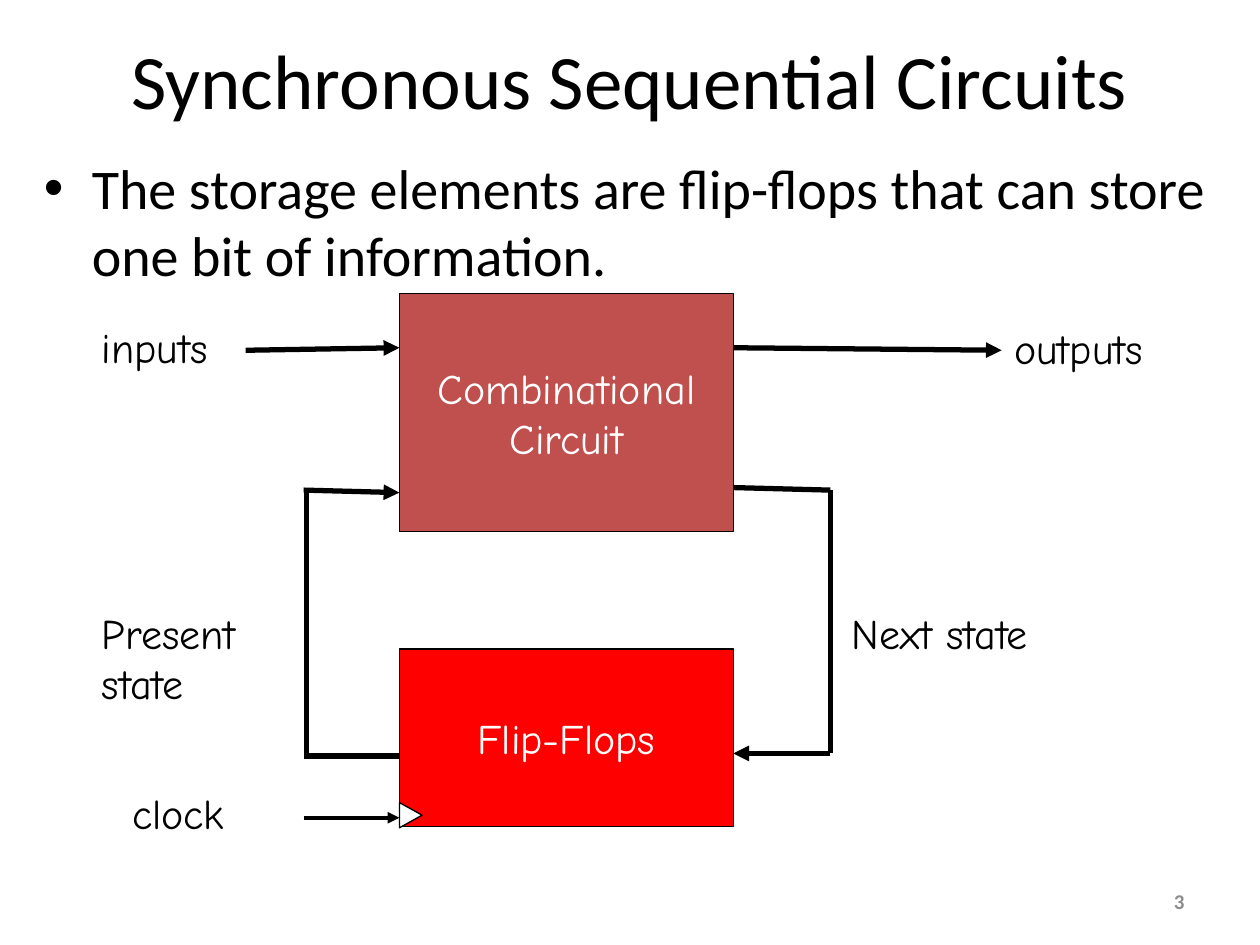
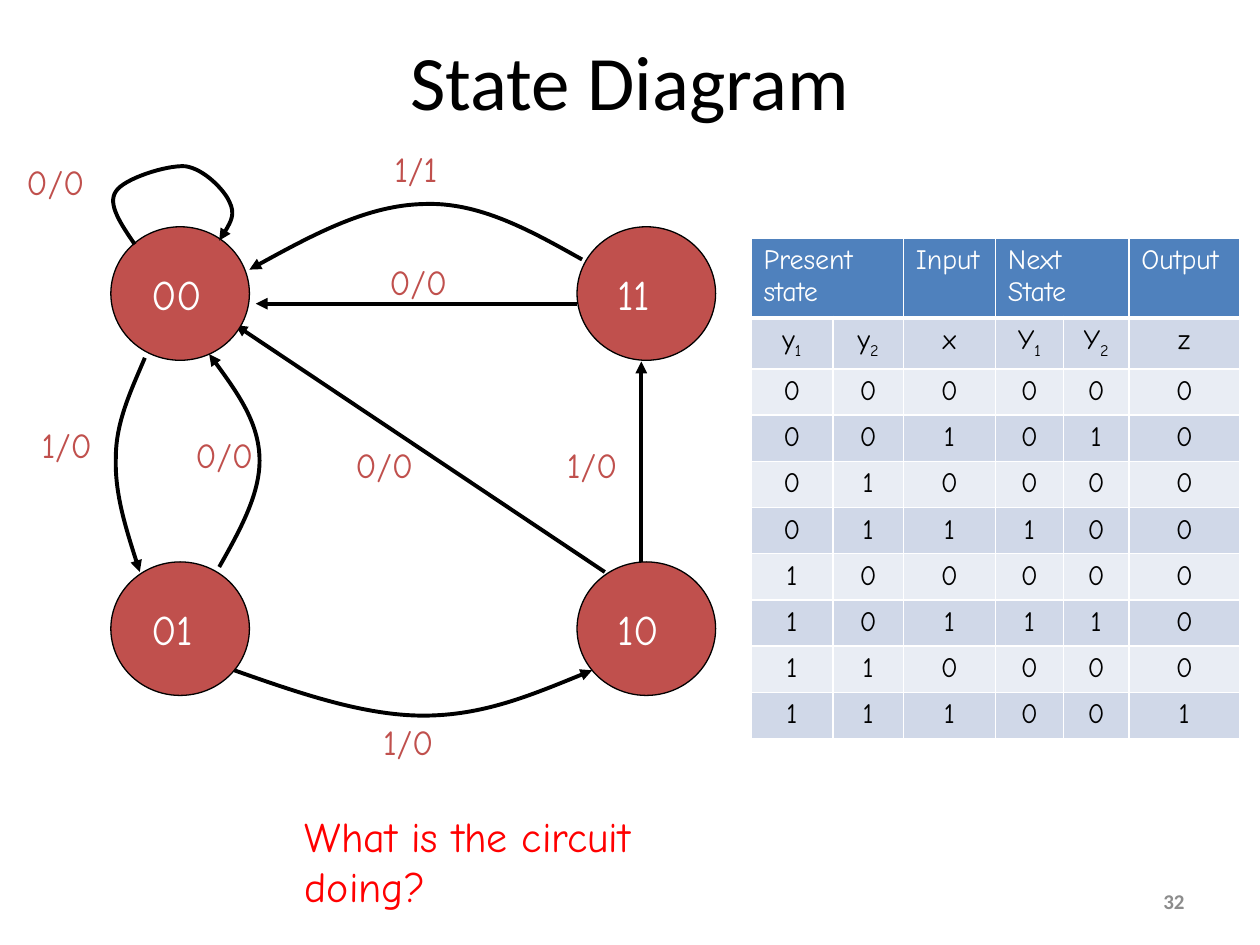
import pptx
import pptx.util
import pptx.dml.color
import pptx.enum.shapes
import pptx.enum.text
import pptx.oxml
import pptx.oxml.ns
import lxml.etree

Inches = pptx.util.Inches
Pt = pptx.util.Pt
RGB = pptx.dml.color.RGBColor.from_string
MSO_SHAPE = pptx.enum.shapes.MSO_SHAPE
STRAIGHT = pptx.enum.shapes.MSO_CONNECTOR.STRAIGHT
ALIGN = pptx.enum.text.PP_ALIGN
ANCHOR = pptx.enum.text.MSO_ANCHOR
AUTO_SIZE = pptx.enum.text.MSO_AUTO_SIZE
qn = pptx.oxml.ns.qn

COLORS = {
    "black": "000000", "white": "FFFFFF", "gray": "8C8C8C", "red": "FF0000",
    "brick": "C0504D", "header": "4F81BD", "band_dark": "D0D8E8", "band_light": "E9EDF4",
}
HEADING_FONT = "Calibri"
DIAGRAM_FONT = "Comic Neue"


def write(frame, text, size=24, font=DIAGRAM_FONT, color="black", align=ALIGN.LEFT,
          anchor=ANCHOR.TOP, wrap=True, grow=False, margin=None, bold=False, bullet=None):
    """Fill a text frame; an underscore starts a subscript, a newline breaks the line."""
    frame.word_wrap = wrap
    frame.vertical_anchor = anchor
    if grow:
        frame.auto_size = AUTO_SIZE.SHAPE_TO_FIT_TEXT
    if margin is not None:
        frame.margin_left = frame.margin_right = Inches(margin)
        frame.margin_top = frame.margin_bottom = Inches(margin)
    paragraph = frame.paragraphs[0]
    paragraph.alignment = align
    if bullet:
        properties = paragraph._p.get_or_add_pPr()
        properties.set("marL", str(Inches(0.38)))
        properties.set("indent", str(-Inches(0.38)))
        lxml.etree.SubElement(properties, qn("a:buFont")).set("typeface", "Arial")
        lxml.etree.SubElement(properties, qn("a:buChar")).set("char", bullet)
    base, _, subscript = text.partition("_")
    paragraph.text = base
    if subscript:
        run = paragraph.add_run()
        run.text = subscript
        run._r.get_or_add_rPr().set("baseline", "-25000")
    for run in paragraph.runs:
        run.font.name, run.font.size, run.font.bold = font, Pt(size), bold
        run.font.color.rgb = RGB(COLORS[color])


def outline(shape, width=0.75, fill=None, arrow=False):
    """Give a shape or line a plain black outline without a shadow."""
    if fill:
        shape.fill.solid()
        shape.fill.fore_color.rgb = RGB(COLORS[fill])
    shape.line.color.rgb = RGB(COLORS["black"])
    shape.line.width = Pt(width)
    if arrow:
        line = shape.line._get_or_add_ln()
        lxml.etree.SubElement(line, qn("a:tailEnd")).set("type", "triangle")
    lxml.etree.SubElement(shape._element.spPr, qn("a:effectLst"))


presentation = pptx.Presentation()
presentation.slide_width, presentation.slide_height = Inches(10), Inches(7.5)

# Titles and slide numbers
slides = []
for title, number, top in (("Synchronous Sequential Circuits", "3", 0),
                           ("State Diagram", "32", 0.01)):
    slide = presentation.slides.add_slide(presentation.slide_layouts[6])
    title_box = slide.shapes.add_textbox(Inches(0.5), Inches(top), Inches(9), Inches(1.25))
    write(title_box.text_frame, title, size=44, font=HEADING_FONT,
          align=ALIGN.CENTER, anchor=ANCHOR.MIDDLE)
    number_box = slide.shapes.add_textbox(Inches(7.17), Inches(6.95), Inches(2.33), Inches(0.4))
    write(number_box.text_frame, number, size=12, font=HEADING_FONT, color="gray",
          align=ALIGN.RIGHT, anchor=ANCHOR.MIDDLE, bold=True)
    slides.append(slide)
circuit_slide, state_slide = slides

# Circuit: bullet text
body = circuit_slide.shapes.add_textbox(Inches(0.25), Inches(1.17), Inches(9.58), Inches(1.56))
write(body.text_frame, "The storage elements are flip-flops that can store one bit of information.",
      size=32, font=HEADING_FONT, bullet="•")

# Circuit: the two blocks
block_left, block_width = 3.17, 2.65
block_right = block_left + block_width
for text, top, height, fill, wrap in (("Combinational Circuit", 2.33, 1.89, "brick", True),
                                      ("Flip-Flops", 5.15, 1.41, "red", False)):
    block = circuit_slide.shapes.add_shape(MSO_SHAPE.RECTANGLE, Inches(block_left), Inches(top),
                                           Inches(block_width), Inches(height))
    outline(block, fill=fill)
    write(block.text_frame, text, color="white", align=ALIGN.CENTER, anchor=ANCHOR.MIDDLE,
          wrap=wrap)

# Circuit: clock input mark
clock_mark = circuit_slide.shapes.add_shape(MSO_SHAPE.ISOSCELES_TRIANGLE, Inches(3.16),
                                            Inches(6.38), Inches(0.2), Inches(0.18))
clock_mark.rotation = 90
outline(clock_mark, fill="white")

# Circuit and states: straight wires (x1, y1, x2, y2, width, arrow)
next_x, present_x = 6.59, 2.43
circuit_wires = [
    (1.95, 2.78, block_left, 2.76, 3, True),
    (block_right, 2.76, 7.95, 2.78, 3, True),
    (block_right, 3.87, next_x, 3.89, 3, False),
    (next_x, 3.89, next_x, 5.98, 3, False),
    (next_x, 5.98, block_right, 5.98, 3, True),
    (2.41, 3.89, block_left, 3.91, 3, True),
    (present_x, 3.91, present_x, 6, 3, False),
    (block_left, 6, 2.41, 6, 3, False),
    (2.41, 6.49, block_left, 6.49, 2.25, True),
]
state_wires = [
    (4.8, 4.54, 1.87, 2.58, 2.25, True),
    (5.09, 4.46, 5.09, 2.87, 2.25, True),
    (4.58, 2.41, 2.03, 2.41, 2.25, True),
]
for slide, wires in ((circuit_slide, circuit_wires), (state_slide, state_wires)):
    for x1, y1, x2, y2, width, arrow in wires:
        wire = slide.shapes.add_connector(STRAIGHT, Inches(x1), Inches(y1), Inches(x2), Inches(y2))
        outline(wire, width=width, arrow=arrow)

# Circuit: signal names
for text, left, top, width, height, wrap in (
    ("inputs", 0.71, 2.5, 1.15, 0.51, False),
    ("outputs", 7.95, 2.51, 1.39, 0.51, False),
    ("Present state", 0.71, 4.77, 1.7, 0.91, True),
    ("Next state", 6.66, 4.77, 1.95, 0.51, False),
    ("clock", 0.95, 6.2, 1, 0.51, False),
):
    label = circuit_slide.shapes.add_textbox(Inches(left), Inches(top), Inches(width),
                                             Inches(height))
    write(label.text_frame, text, wrap=wrap, grow=True)

# States: circles with their codes
for code, left, top, code_width in (("00", 0.88, 1.8, 0.61), ("01", 0.88, 4.46, 0.55),
                                    ("10", 4.58, 4.46, 0.55), ("11", 4.58, 1.8, 0.5)):
    circle = state_slide.shapes.add_shape(MSO_SHAPE.OVAL, Inches(left), Inches(top),
                                          Inches(1.1), Inches(1.06))
    outline(circle, fill="brick")
    code_box = state_slide.shapes.add_textbox(Inches(left + 0.22), Inches(top + 0.28),
                                              Inches(code_width), Inches(0.5))
    write(code_box.text_frame, code, color="white", wrap=False, grow=True)

# States: curved transitions, each a chain of cubic curves sharing end points
for start, *controls in (
    [(1.07, 1.94), (0.96, 1.78), (0.85, 1.62), (0.92, 1.52), (0.98, 1.42), (1.32, 1.31),
     (1.47, 1.32), (1.62, 1.34), (1.78, 1.51), (1.82, 1.6), (1.87, 1.7), (1.81, 1.81), (1.74, 1.91)],
    [(1.15, 2.84), (1.04, 3.1), (0.92, 3.35), (0.92, 3.63), (0.91, 3.91), (1.01, 4.23), (1.11, 4.54)],
    [(1.74, 4.5), (1.91, 4.2), (2.07, 3.91), (2.06, 3.63), (2.05, 3.35), (1.86, 3.08), (1.66, 2.81)],
    [(1.86, 5.32), (2.37, 5.5), (2.89, 5.68), (3.36, 5.68), (3.83, 5.68), (4.26, 5.5), (4.7, 5.32)],
    [(4.62, 2.06), (4.21, 1.83), (3.8, 1.6), (3.36, 1.62), (2.92, 1.63), (2.45, 1.88), (1.98, 2.14)],
):
    builder = state_slide.shapes.build_freeform(Inches(start[0]), Inches(start[1]))
    builder.add_line_segments([(Inches(x), Inches(y)) for x, y in controls], close=False)
    transition = builder.convert_to_shape()
    # Every three straight segments become one cubic curve
    segments = list(transition._element.iter(qn("a:lnTo")))
    for first in range(0, len(segments), 3):
        cubic = lxml.etree.SubElement(segments[first].getparent(), qn("a:cubicBezTo"))
        for segment in segments[first:first + 3]:
            cubic.append(segment[0])
            segment.getparent().remove(segment)
    transition.fill.background()
    outline(transition, width=2.25, arrow=True)

# States: input/output labels
for text, left, top, width in (
    ("0/0", 0.21, 1.27, 0.48), ("1/0", 0.33, 3.36, 0.44), ("0/0", 1.55, 3.44, 0.48),
    ("1/0", 3.04, 5.72, 0.44), ("1/1", 3.13, 1.17, 0.39), ("0/0", 2.82, 3.52, 0.48),
    ("1/0", 4.5, 3.52, 0.44), ("0/0", 3.09, 2.07, 0.48),
):
    label = state_slide.shapes.add_textbox(Inches(left), Inches(top), Inches(width), Inches(0.33))
    write(label.text_frame, text, size=20, color="brick", wrap=False, grow=True, margin=0)

# States: question
question = state_slide.shapes.add_textbox(Inches(2.32), Inches(6.38), Inches(3.2), Inches(0.91))
write(question.text_frame, "What is the circuit\ndoing?", color="red", grow=True)

# States: transition table
rows = [
    ["Present state", "", "Input", "Next State", "", "Output"],
    ["y_1", "y_2", "x", "Y_1", "Y_2", "z"],
    *map(list, ("000000", "001010", "010000", "011100", "100000", "101110", "110000", "111001")),
]
column_widths = [0.65, 0.56, 0.73, 0.54, 0.52, 0.88]
row_heights = [0.62, 0.4] + [0.36] * 8
table = state_slide.shapes.add_table(
    len(rows), len(column_widths), Inches(5.96), Inches(1.89),
    Inches(sum(column_widths)), Inches(sum(row_heights))).table
for column, width in zip(table.columns, column_widths):
    column.width = Inches(width)
for row, height in zip(table.rows, row_heights):
    row.height = Inches(height)
for first in (0, 3):
    table.cell(0, first).merge(table.cell(0, first + 1))

for row_index, values in enumerate(rows):
    is_header = row_index == 0
    fill = "header" if is_header else ("band_dark" if row_index % 2 else "band_light")
    for column_index, value in enumerate(values):
        cell = table.cell(row_index, column_index)
        for side in ("L", "R", "T", "B"):
            thick = (is_header and side == "B") or (row_index == 1 and side == "T")
            border = lxml.etree.SubElement(cell._tc.get_or_add_tcPr(), qn("a:ln" + side))
            border.set("w", str(Pt(3 if thick else 1)))
            border_fill = lxml.etree.SubElement(border, qn("a:solidFill"))
            lxml.etree.SubElement(border_fill, qn("a:srgbClr")).set("val", COLORS["white"])
        cell.fill.solid()
        cell.fill.fore_color.rgb = RGB(COLORS[fill])
        if value:
            write(cell.text_frame, value, size=16, color="white" if is_header else "black",
                  align=ALIGN.LEFT if is_header else ALIGN.CENTER)

presentation.save("out.pptx")
